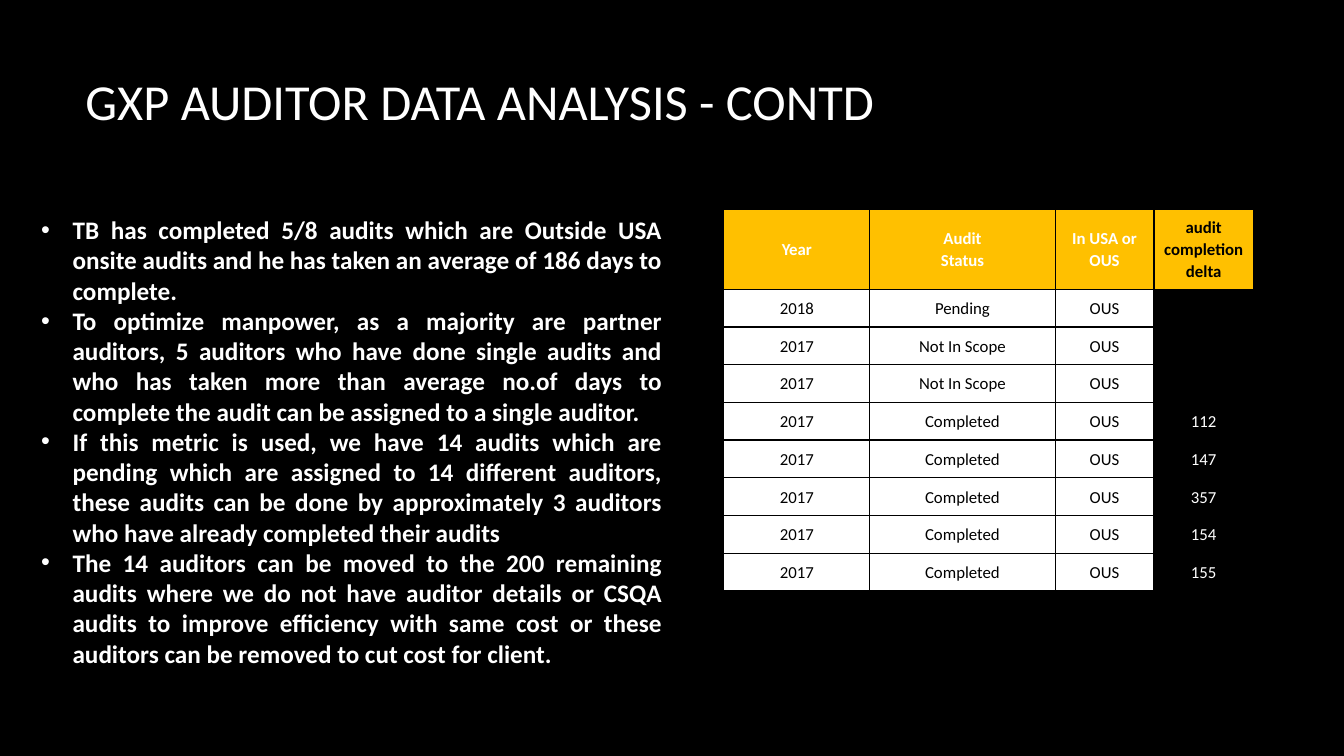
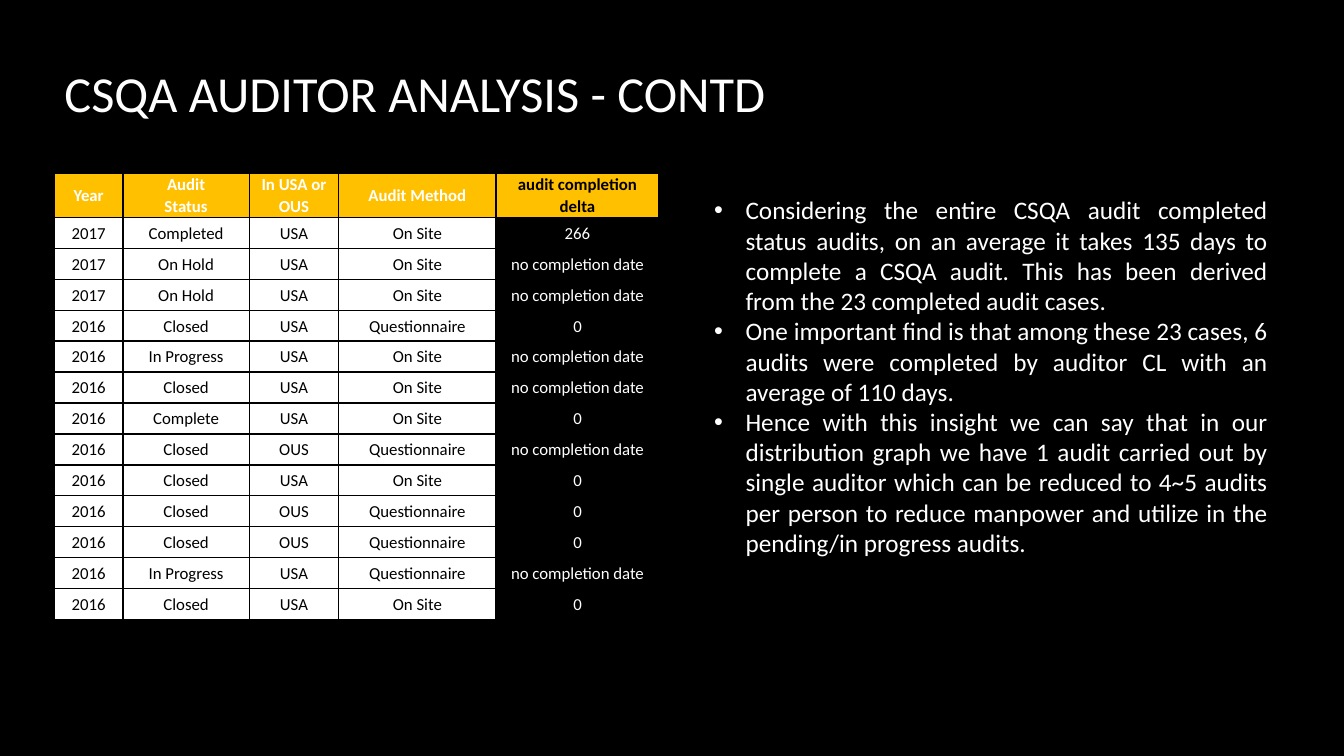
from lxml.etree import SubElement
from pptx import Presentation
from pptx.dml.color import RGBColor
from pptx.enum.text import MSO_ANCHOR, MSO_AUTO_SIZE, PP_ALIGN
from pptx.oxml.ns import qn
from pptx.util import Cm, Pt

COLOURS = {"black": "000000", "white": "FFFFFF", "amber": "FFC000"}
FONT = "Calibri"
TITLE_WIDTH, TITLE_HEIGHT = 28.14, 4.04
BULLET_INDENT = Cm(0.79)
CELL_MARGIN = Cm(0.18)
BORDER_WIDTH = Pt(1)

GXP_POINTS = [
    "TB has completed 5/8 audits which are Outside USA onsite audits and he has taken "
    "an average of 186 days to complete.",
    "To optimize manpower, as a majority are partner auditors, 5 auditors who have done "
    "single audits and who has taken more than average no.of days to complete the audit "
    "can be assigned to a single auditor.",
    "If this metric is used, we have 14 audits which are pending which are assigned to "
    "14 different auditors, these audits can be done by approximately 3 auditors who "
    "have already completed their audits",
    "The 14 auditors can be moved to the 200 remaining audits where we do not have "
    "auditor details or CSQA audits to improve efficiency with same cost or these "
    "auditors can be removed to cut cost for client.",
]
GXP_AUDITS = [
    ("Year", "Audit\nStatus", "In USA or OUS", "audit completion delta"),
    ("2018", "Pending", "OUS", ""),
    ("2017", "Not In Scope", "OUS", ""),
    ("2017", "Not In Scope", "OUS", ""),
    *(("2017", "Completed", "OUS", days) for days in ("112", "147", "357", "154", "155")),
]

CSQA_POINTS = [
    "Considering the entire CSQA audit completed status audits, on an average it takes "
    "135 days to complete a CSQA audit. This has been derived from the 23 completed "
    "audit cases.",
    "One important find is that among these 23 cases, 6 audits were completed by "
    "auditor CL with an average of 110 days.",
    "Hence with this insight we can say that in our distribution graph we have 1 audit "
    "carried out by single auditor which can be reduced to 4~5 audits per person to "
    "reduce manpower and utilize in the pending/in progress audits.",
]
UNDATED = "no completion date"
CSQA_AUDITS = [
    ("Year", "Audit\nStatus", "In USA or OUS", "Audit Method", "audit completion delta"),
    ("2017", "Completed", "USA", "On Site", "266"),
    ("2017", "On Hold", "USA", "On Site", UNDATED),
    ("2017", "On Hold", "USA", "On Site", UNDATED),
    ("2016", "Closed", "USA", "Questionnaire", "0"),
    ("2016", "In Progress", "USA", "On Site", UNDATED),
    ("2016", "Closed", "USA", "On Site", UNDATED),
    ("2016", "Complete", "USA", "On Site", "0"),
    ("2016", "Closed", "OUS", "Questionnaire", UNDATED),
    ("2016", "Closed", "USA", "On Site", "0"),
    ("2016", "Closed", "OUS", "Questionnaire", "0"),
    ("2016", "Closed", "OUS", "Questionnaire", "0"),
    ("2016", "In Progress", "USA", "Questionnaire", UNDATED),
    ("2016", "Closed", "USA", "On Site", "0"),
]


def colour(name):
    return RGBColor.from_string(COLOURS[name])


def write(frame, *texts, size, ink="white", bold=False, align=PP_ALIGN.LEFT,
          spacing=None, bullet=None):
    """Fill a text frame with one paragraph for each text."""
    for index, text in enumerate(texts):
        paragraph = frame.add_paragraph() if index else frame.paragraphs[0]
        paragraph.text = text
        paragraph.alignment = align
        if spacing:
            paragraph.line_spacing = spacing
        for run in paragraph.runs:
            run.font.name = FONT
            run.font.size = Pt(size)
            run.font.bold = bold
            run.font.color.rgb = colour(ink)
        if bullet:
            properties = paragraph._p.get_or_add_pPr()
            properties.set("marL", str(BULLET_INDENT))
            properties.set("indent", str(-BULLET_INDENT))
            SubElement(properties, qn("a:buFont"), typeface="Arial")
            SubElement(properties, qn("a:buChar"), char=bullet)


def add_titled_slide(deck, title, left, top):
    slide = deck.slides.add_slide(deck.slide_layouts[5])
    heading = slide.shapes.title
    heading.left, heading.top = Cm(left), Cm(top)
    heading.width, heading.height = Cm(TITLE_WIDTH), Cm(TITLE_HEIGHT)
    heading.text_frame.vertical_anchor = MSO_ANCHOR.MIDDLE
    write(heading.text_frame, title, size=36)
    return slide


def add_findings(slide, box, points, bold=False):
    findings = slide.shapes.add_textbox(*map(Cm, box)).text_frame
    findings.word_wrap = True
    findings.auto_size = MSO_AUTO_SIZE.SHAPE_TO_FIT_TEXT
    write(findings, *points, size=18, bold=bold, align=PP_ALIGN.JUSTIFY, bullet="•")


def add_borders(cell):
    properties = cell._tc.get_or_add_tcPr()
    for side in ("lnL", "lnR", "lnT", "lnB"):
        line = SubElement(properties, qn(f"a:{side}"), w=str(BORDER_WIDTH))
        fill = SubElement(line, qn("a:solidFill"))
        SubElement(fill, qn("a:srgbClr"), val=COLOURS["black"])


def format_cell(cell, text, is_header, is_delta):
    """The delta column is white on the bare background below its header."""
    add_borders(cell)
    if is_delta and not is_header:
        cell.fill.background()
    else:
        cell.fill.solid()
        cell.fill.fore_color.rgb = colour("amber" if is_header else "white")
    cell.vertical_anchor = MSO_ANCHOR.MIDDLE
    cell.margin_left = cell.margin_right = CELL_MARGIN
    cell.margin_top = cell.margin_bottom = 0
    write(cell.text_frame, text, size=12, bold=is_header, align=PP_ALIGN.CENTER,
          ink="white" if is_header != is_delta else "black", spacing=1.07)
    if is_delta and not is_header:
        for run in cell.text_frame.paragraphs[0].runs:
            run.font.color.rgb = colour("white")


def add_audit_table(slide, left, top, widths, header_height, row_height, audits):
    height = header_height + row_height * (len(audits) - 1)
    table = slide.shapes.add_table(len(audits), len(widths), Cm(left), Cm(top),
                                   Cm(sum(widths)), Cm(height)).table
    table.horz_banding = False
    for column, width in zip(table.columns, widths):
        column.width = Cm(width)
    for row_index, (row, audit) in enumerate(zip(table.rows, audits)):
        row.height = Cm(row_height if row_index else header_height)
        for column_index, text in enumerate(audit):
            format_cell(table.cell(row_index, column_index), text,
                        is_header=row_index == 0,
                        is_delta=column_index == len(widths) - 1)


def build_gxp_slide(deck):
    slide = add_titled_slide(deck, "GXP AUDITOR DATA ANALYSIS - CONTD", 1.9, 0.51)
    add_audit_table(slide, 18.24, 5.28, (3.68, 4.67, 2.49, 2.51), 2.01, 0.95, GXP_AUDITS)
    add_findings(slide, (0.79, 5.28, 16.15, 11.79), GXP_POINTS, bold=True)


def build_csqa_slide(deck):
    slide = add_titled_slide(deck, "CSQA AUDITOR ANALYSIS - CONTD", 1.37, 0.3)
    add_audit_table(slide, 1.37, 4.37, (1.73, 3.18, 2.26, 3.96, 4.11), 0.87, 0.78,
                    CSQA_AUDITS)
    add_findings(slide, (17.75, 4.78, 14.45, 10.26), CSQA_POINTS)


def main():
    deck = Presentation()
    deck.slide_width, deck.slide_height = Cm(33.87), Cm(19.05)
    background = deck.slide_master.background.fill
    background.solid()
    background.fore_color.rgb = colour("black")
    build_gxp_slide(deck)
    build_csqa_slide(deck)
    deck.save("out.pptx")


if __name__ == "__main__":
    main()
